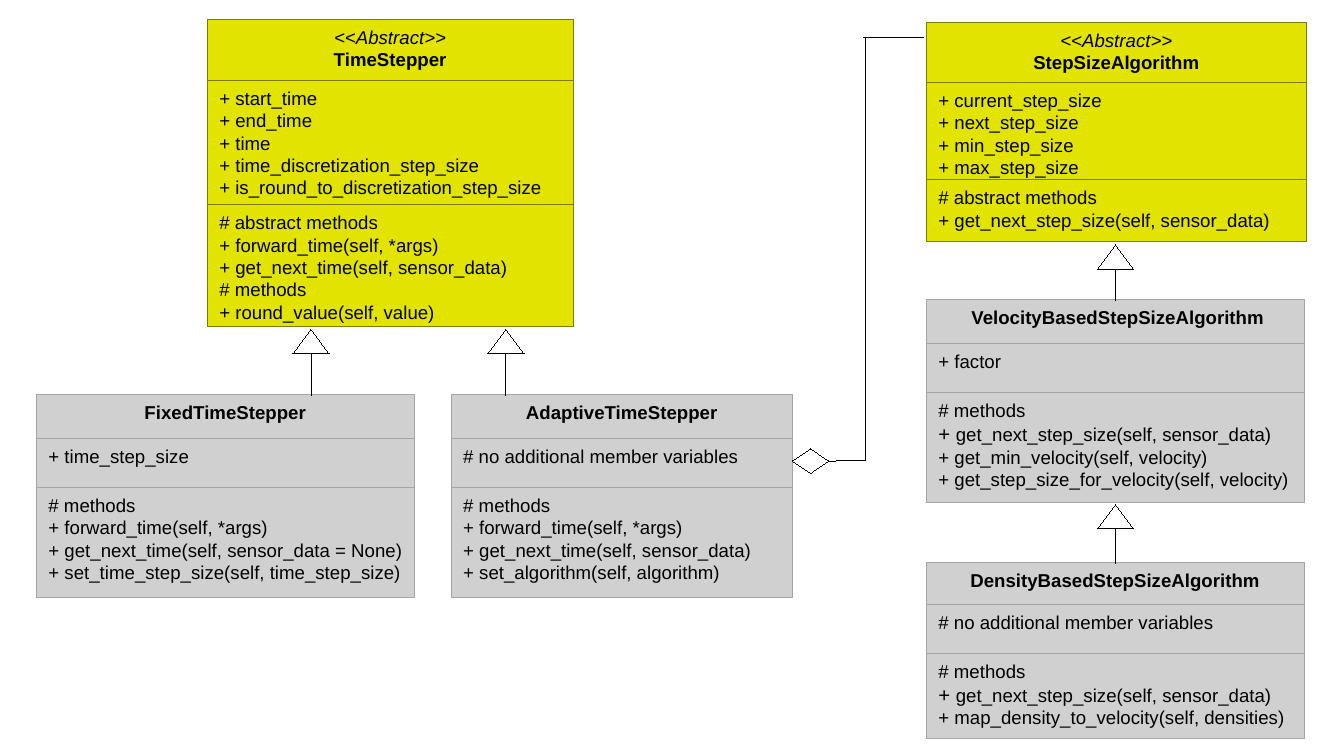
"""Build a UML class diagram of time steppers and step size algorithms."""
from pptx import Presentation, util as u
from pptx.dml.color import RGBColor
from pptx.enum import shapes, text
from pptx.oxml import ns
from lxml import etree

BLACK = RGBColor(0x00, 0x00, 0x00)
WHITE = RGBColor(0xFF, 0xFF, 0xFF)
YELLOW = RGBColor(0xE3, 0xE3, 0x00)
OLIVE = RGBColor(0x7C, 0x7C, 0x00)
LIGHT_GRAY = RGBColor(0xD0, 0xD0, 0xD0)
GRAY = RGBColor(0xA5, 0xA5, 0xA5)
HAIRLINE = u.Pt(0.01)

NO_MEMBERS = "# no additional member variables"
NEXT_STEP = "+ get_next_step_size(self, sensor_data)"
VELOCITY = " VelocityBasedStepSizeAlgorithm"

CLASSES = [
    ("TimeStepper", True, 4.32, 0.41, 7.62, [1.27, 2.59, 2.54],
     ["+ start_time", "+ end_time", "+ time", "+ time_discretization_step_size",
      "+ is_round_to_discretization_step_size"],
     ["# abstract methods", "+ forward_time(self, *args)",
      "+ get_next_time(self, sensor_data)", "# methods",
      "+ round_value(self, value)"]),
    ("StepSizeAlgorithm", True, 19.3, 0.47, 7.92, [1.25, 2.03, 1.28],
     ["+ current_step_size", "+ next_step_size", "+ min_step_size",
      "+ max_step_size"],
     ["# abstract methods", NEXT_STEP]),
    ("FixedTimeStepper", False, 0.76, 8.23, 7.87, [0.91, 1.02, 2.29],
     ["+ time_step_size"],
     ["# methods", "+ forward_time(self, *args)",
      "+ get_next_time(self, sensor_data = None)",
      "+ set_time_step_size(self, time_step_size)"]),
    ("AdaptiveTimeStepper", False, 9.4, 8.23, 7.11, [0.91, 1.02, 2.29],
     [NO_MEMBERS],
     ["# methods", "+ forward_time(self, *args)",
      "+ get_next_time(self, sensor_data)", "+ set_algorithm(self, algorithm)"]),
    (VELOCITY, False, 19.3, 6.25, 7.87, [0.91, 1.02, 2.29],
     ["+ factor"],
     ["# methods", NEXT_STEP, "+ get_min_velocity(self, velocity)",
      "+ get_step_size_for_velocity(self, velocity)"]),
    ("DensityBasedStepSizeAlgorithm", False, 19.3, 11.73, 7.87,
     [0.86, 1.02, 1.78],
     [NO_MEMBERS],
     ["# methods", NEXT_STEP, "+ map_density_to_velocity(self, densities)"]),
]


def add_box(kind, x, y, w, h, fill, line):
    sp = s.shapes.add_shape(kind, u.Cm(x), u.Cm(y), u.Cm(w), u.Cm(h))
    sp.shadow.inherit = False
    sp.fill.solid()
    sp.fill.fore_color.rgb = fill
    sp.line.color.rgb = line
    sp.line.width = HAIRLINE
    return sp


def add_line(x1, y1, x2, y2):
    cx = s.shapes.add_connector(shapes.MSO_CONNECTOR.STRAIGHT,
                                u.Cm(x1), u.Cm(y1), u.Cm(x2), u.Cm(y2))
    cx.line.color.rgb = BLACK
    cx.line.width = HAIRLINE
    etree.SubElement(cx._element.spPr, ns.qn("a:effectLst"))
    return cx


prs = Presentation()
prs.slide_width, prs.slide_height = u.Cm(28), u.Cm(15.75)
s = prs.slides.add_slide(prs.slide_layouts[6])

titles = {}
for name, abstract, x, y, w, heights, members, methods in CLASSES:
    fill, line = (YELLOW, OLIVE) if abstract else (LIGHT_GRAY, GRAY)
    title = ["<<Abstract>>", name] if abstract else [name]
    for lines, h in zip([title, members, methods], heights):
        sp = add_box(shapes.MSO_SHAPE.RECTANGLE, x, y, w, h, fill, line)
        y += h
        tf = sp.text_frame
        tf.word_wrap = True
        tf.vertical_anchor = text.MSO_ANCHOR.TOP
        tf.margin_left = u.Cm(0.25)
        tf.margin_right = u.Cm(0.25 if lines is title else 0)
        tf.margin_top, tf.margin_bottom = u.Cm(0.13), u.Cm(0)
        for i, content in enumerate(lines):
            p = tf.paragraphs[0] if i == 0 else tf.add_paragraph()
            p.alignment = text.PP_ALIGN.CENTER if lines is title else text.PP_ALIGN.LEFT
            if content == "<<Abstract>>":
                parts = ["<<", "Abstract", ">>"]
            elif content == NEXT_STEP and not abstract:
                parts = ["+ ", content[2:]]
            else:
                parts = [content]
            for part in parts:
                r = p.add_run()
                r.text = part
                r.font.name = "Arial"
                r.font.size = u.Pt(12 if part == "+ " else 11)
                r.font.color.rgb = BLACK
                r.font.bold = part == name
                r.font.italic = part in ("<<", "Abstract", ">>")
        if lines is title:
            titles[name] = sp

for child, x, y, bottom in [
    ("FixedTimeStepper", 6.48, 6.86, 8.23),
    ("AdaptiveTimeStepper", 10.54, 6.86, 8.23),
    (VELOCITY, 23.24, 5.1, 6.25),
    ("DensityBasedStepSizeAlgorithm", 23.24, 10.51, 11.73),
]:
    cx = add_line(x, bottom, x, y + 0.51)
    if child.endswith("Algorithm"):
        cx.begin_connect(titles[child], 0)
    add_box(shapes.MSO_SHAPE.ISOSCELES_TRIANGLE, x - 0.38, y, 0.76, 0.51, WHITE, BLACK)

diamond = add_box(shapes.MSO_SHAPE.DIAMOND, 16.51, 9.35, 0.76, 0.51, WHITE, BLACK)
add_line(17.27, 9.6, 18.03, 9.6).begin_connect(diamond, 3)
add_line(18.03, 9.6, 18.03, 0.79)
add_line(17.98, 0.79, 19.25, 0.79)

prs.save("out.pptx")
